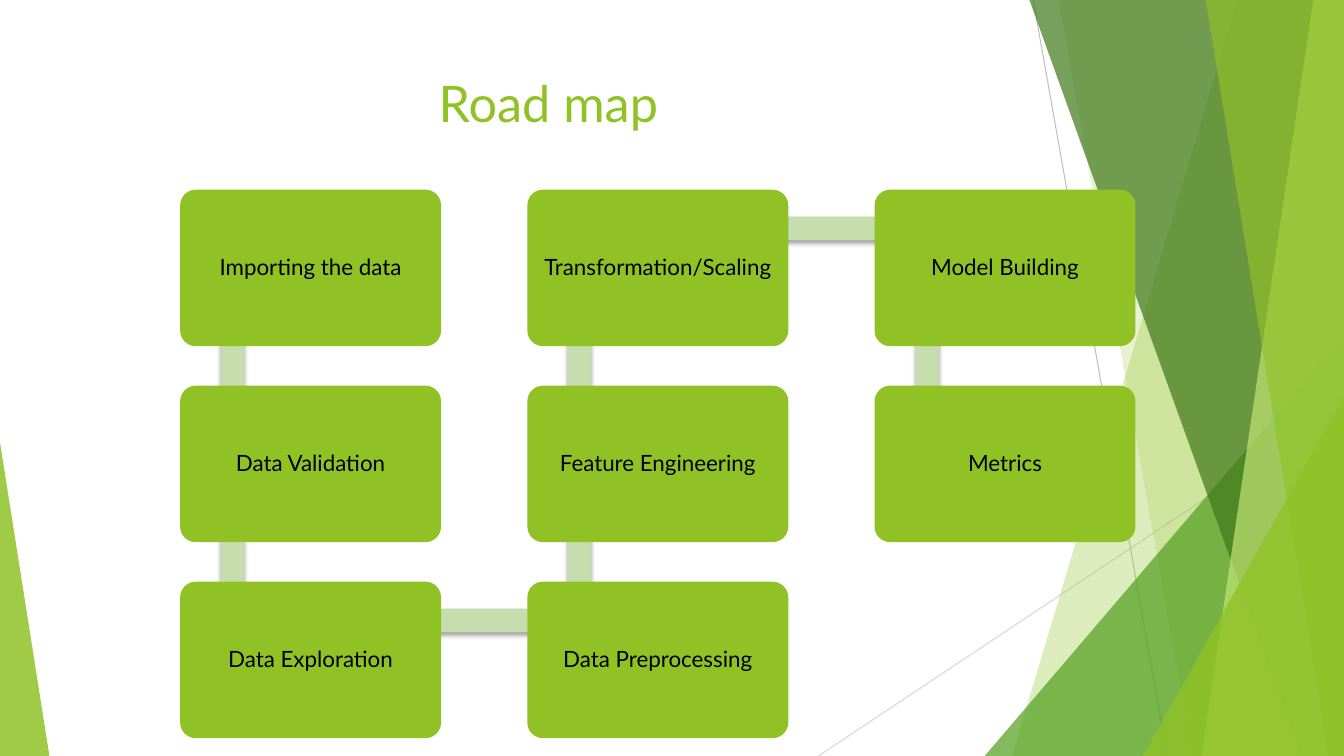
from lxml.etree import SubElement
from pptx import Presentation
from pptx.dml.color import RGBColor
from pptx.enum.shapes import MSO_CONNECTOR, MSO_SHAPE
from pptx.enum.text import MSO_ANCHOR, PP_ALIGN
from pptx.oxml.ns import qn
from pptx.util import Pt

# Content: each column of cards from top to bottom
TITLE = "Road map"
COLUMNS = [
    ["Importing the data", "Data Validation", "Data Exploration"],
    ["Transformation/Scaling", "Feature Engineering", "Data Preprocessing"],
    ["Model Building", "Metrics"],
]
# Steps of the route as (column, row)
ROUTE = [(0, 0), (0, 1), (0, 2), (1, 2), (1, 1), (1, 0), (2, 0), (2, 1)]

FONT = "Lato"
GREEN, BLACK, BAR_COLOR = "90C226", "000000", "C6DDAD"
SLIDE_WIDTH, SLIDE_HEIGHT = 960, 540

# Backdrop, back to front
LINES = [(738, 0, 833.8, 540, "BFBFBF"), (960, 290.2, 584.6, 540, "D9D9D9")]
# ("facet", top left x, bottom left x) or ("triangle", box, apex), colour, opacity
BACKDROP = [
    ("facet", (884.2, 722.9), GREEN, 30),
    ("facet", (756, 851.8), GREEN, 20),
    ("triangle", (703.4, 239.8, 256.6, 300.2, 1), "54A021", 72),
    ("facet", (735.1, 929.5), "3F7819", 70),
    ("facet", (938.2, 858.2), "C0E474", 70),
    ("facet", (861.1, 949), GREEN, 65),
    ("triangle", (816.5, 283, 143.5, 257, 1), GREEN, 80),
    ("triangle", (0, 316, 35.3, 224, 0), GREEN, 85),
]

# Grid of cards
GRID_LEFT, GRID_TOP = 128.7, 135.5
STEP_X, STEP_Y = 248, 140
CARD_WIDTH, CARD_HEIGHT = 186.4, 111.8
BAR_OFFSET_X, BAR_OFFSET_Y, BAR_THICKNESS = 37.5, 27.6, 16.8

presentation = Presentation()
presentation.slide_width = Pt(SLIDE_WIDTH)
presentation.slide_height = Pt(SLIDE_HEIGHT)
slide = presentation.slides.add_slide(presentation.slide_layouts[6])
shapes = slide.shapes


def color(hex_value):
    return RGBColor.from_string(hex_value)


def paint(shape, hex_value, opacity=100):
    shape.shadow.inherit = False
    shape.line.fill.background()
    shape.fill.solid()
    shape.fill.fore_color.rgb = color(hex_value)
    if opacity < 100:
        fill_color = shape.fill._xPr.find(qn("a:solidFill"))[0]
        SubElement(fill_color, qn("a:alpha"), val=str(opacity * 1000))


def add_box(kind, left, top, width, height, hex_value, opacity=100):
    shape = shapes.add_shape(kind, Pt(left), Pt(top), Pt(width), Pt(height))
    paint(shape, hex_value, opacity)
    return shape


def write(frame, text, size, hex_value):
    frame.word_wrap = True
    paragraph = frame.paragraphs[0]
    paragraph.alignment = PP_ALIGN.CENTER
    run = paragraph.add_run()
    run.text = text
    run.font.name = FONT
    run.font.size = Pt(size)
    run.font.color.rgb = color(hex_value)
    return paragraph


def card_origin(column, row):
    return GRID_LEFT + column * STEP_X, GRID_TOP + row * STEP_Y


def add_bar(start, end):
    (x1, y1), (x2, y2) = card_origin(*start), card_origin(*end)
    center_x = (x1 + x2) / 2 + BAR_OFFSET_X
    center_y = (y1 + y2) / 2 + BAR_OFFSET_Y
    length = abs(x2 - x1) + abs(y2 - y1) - 1
    bar = add_box(MSO_SHAPE.RECTANGLE, center_x - length / 2,
                  center_y - BAR_THICKNESS / 2, length, BAR_THICKNESS, BAR_COLOR)
    if start[0] == end[0]:
        bar.rotation = 90 if end[1] > start[1] else 270
    effects = bar._element.spPr.find(qn("a:effectLst"))
    shadow = SubElement(effects, qn("a:outerShdw"), blurRad=str(Pt(3)),
                        dist=str(Pt(2)), dir="5400000", rotWithShape="0")
    shadow_color = SubElement(shadow, qn("a:srgbClr"), val=BLACK)
    SubElement(shadow_color, qn("a:alpha"), val="35000")


def add_card(column, row):
    left, top = card_origin(column, row)
    card = add_box(MSO_SHAPE.ROUNDED_RECTANGLE, left, top,
                   CARD_WIDTH, CARD_HEIGHT, GREEN)
    card.adjustments[0] = 0.1
    frame = card.text_frame
    frame.vertical_anchor = MSO_ANCHOR.MIDDLE
    frame.margin_left = frame.margin_right = Pt(5)
    frame.margin_top = frame.margin_bottom = Pt(5)
    paragraph = write(frame, COLUMNS[column][row], 16, BLACK)
    paragraph.line_spacing = 0.9


# Backdrop
for x1, y1, x2, y2, hex_value in LINES:
    line = shapes.add_connector(MSO_CONNECTOR.STRAIGHT, Pt(x1), Pt(y1), Pt(x2), Pt(y2))
    line.line.color.rgb = color(hex_value)
    line.line.width = Pt(0.75)
    SubElement(line._element.spPr, qn("a:effectLst"))

for kind, geometry, hex_value, opacity in BACKDROP:
    if kind == "facet":
        top_x, bottom_x = geometry
        builder = shapes.build_freeform(Pt(top_x), Pt(-0.7))
        corners = [(SLIDE_WIDTH, -0.7), (SLIDE_WIDTH, SLIDE_HEIGHT), (bottom_x, SLIDE_HEIGHT)]
        builder.add_line_segments([(Pt(x), Pt(y)) for x, y in corners], close=True)
        paint(builder.convert_to_shape(), hex_value, opacity)
    else:
        *box, apex = geometry
        triangle = add_box(MSO_SHAPE.ISOSCELES_TRIANGLE, *box, hex_value, opacity)
        triangle.adjustments[0] = apex

# Title
title = shapes.add_textbox(Pt(53.3), Pt(48.2), Pt(676.8), Pt(103.7))
write(title.text_frame, TITLE, 36, GREEN)

# Route: each bar lies behind the cards it joins
for start, end in zip(ROUTE, ROUTE[1:]):
    add_bar(start, end)
for step in ROUTE:
    add_card(*step)

presentation.save("out.pptx")
